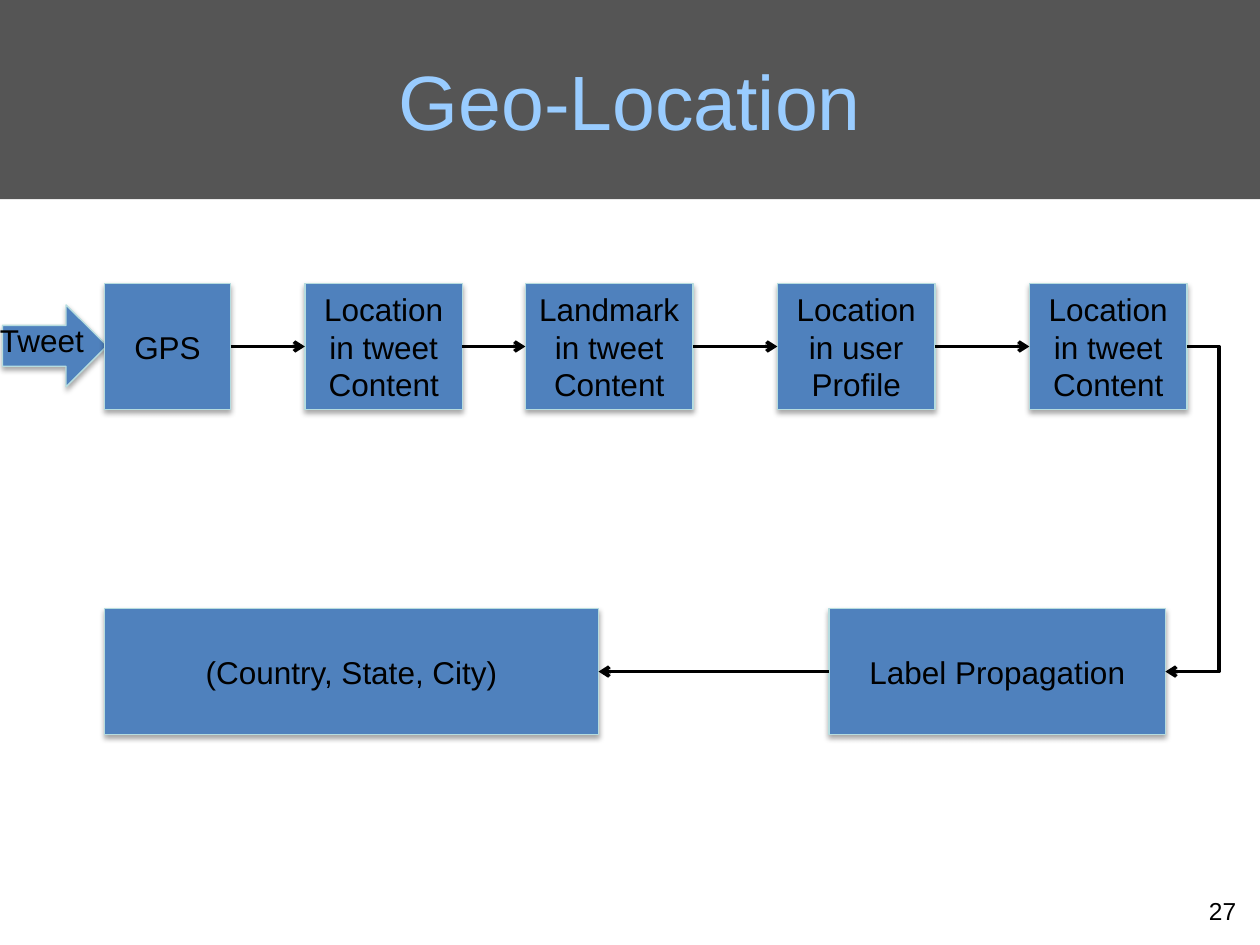
import pptx
import pptx.util
import pptx.dml.color
import pptx.enum.shapes
import pptx.enum.text
import pptx.oxml
import pptx.oxml.ns
import lxml.etree

Inches = pptx.util.Inches
Pt = pptx.util.Pt
RGB = pptx.dml.color.RGBColor.from_string
kinds = pptx.enum.shapes.MSO_SHAPE
links = pptx.enum.shapes.MSO_CONNECTOR
aligns = pptx.enum.text.PP_ALIGN
middle = pptx.enum.text.MSO_ANCHOR.MIDDLE
qn = pptx.oxml.ns.qn

colors = {
    "band": "555555",
    "title": "99CCFF",
    "box": "4F81BD",
    "edge": "B6DCDF",
    "ink": "000000",
}


def write(shape, text, size, color, align):
    frame = shape.text_frame
    frame.word_wrap = True
    para = frame.paragraphs[0]
    para.alignment = align
    run = para.add_run()
    run.text = text
    run.font.size = Pt(size)
    run.font.name = "Arial"
    run.font.color.rgb = RGB(colors[color])


def block(kind, left, top, width, height):
    shape = shapes.add_shape(kind, Inches(left), Inches(top), Inches(width), Inches(height))
    shape.fill.solid()
    shape.fill.fore_color.rgb = RGB(colors["box"])
    shape.line.color.rgb = RGB(colors["edge"])
    shape.line.width = Pt(0.75)
    shape.shadow.inherit = False
    effects = shape._element.spPr.find(qn("a:effectLst"))
    shadow = lxml.etree.SubElement(effects, qn("a:outerShdw"), blurRad="40000",
                                   dist="23000", dir="5400000", rotWithShape="0")
    tint = lxml.etree.SubElement(shadow, qn("a:srgbClr"), val=colors["ink"])
    lxml.etree.SubElement(tint, qn("a:alpha"), val="35000")
    return shape


deck = pptx.Presentation()
deck.slide_width = Inches(10)
deck.slide_height = Inches(7.5)
slide = deck.slides.add_slide(deck.slide_layouts[5])
shapes = slide.shapes

band = shapes.add_shape(kinds.RECTANGLE, 0, 0, Inches(10), Inches(1.58))
band.fill.solid()
band.fill.fore_color.rgb = RGB(colors["band"])
band.line.fill.background()
band.shadow.inherit = False
shapes._spTree.insert(2, band._element)

title = shapes.title
title.left, title.top = Inches(0.5), Inches(0.17)
title.width, title.height = Inches(9), Inches(1.25)
title.text_frame.vertical_anchor = middle
write(title, "Geo-Location", 44, "title", aligns.CENTER)

number = shapes.add_textbox(Inches(7.58), Inches(7.06), Inches(2.33), Inches(0.52))
write(number, "27", 14, "ink", aligns.RIGHT)

block(kinds.RIGHT_ARROW, 0.02, 2.42, 0.83, 0.65)
tweet = shapes.add_textbox(Inches(-0.17), Inches(2.5), Inches(1.07), Inches(0.4))
tweet.text_frame.margin_left = Inches(0.17)
write(tweet, "Tweet", 18, "ink", aligns.LEFT)

steps = [
    ("GPS", 0.83, 2.25, 1),
    ("Location in tweet Content", 2.42, 2.25, 1.25),
    ("Landmark in tweet Content", 4.17, 2.25, 1.33),
    ("Location in user Profile", 6.17, 2.25, 1.25),
    ("Location in tweet Content", 8.17, 2.25, 1.25),
    ("Label Propagation", 6.58, 4.83, 2.67),
    ("(Country, State, City)", 0.83, 4.83, 3.92),
]
boxes = []
for text, left, top, width in steps:
    box = block(kinds.RECTANGLE, left, top, width, 1)
    box.text_frame.vertical_anchor = middle
    write(box, text, 18, "ink", aligns.CENTER)
    boxes.append(box)

routes = [(links.STRAIGHT, 3, 1)] * 4 + [(links.ELBOW, 3, 3), (links.STRAIGHT, 1, 3)]
for start, end, (kind, out, into) in zip(boxes, boxes[1:], routes):
    link = shapes.add_connector(kind, 0, 0, 0, 0)
    link.begin_connect(start, out)
    link.end_connect(end, into)
    link.line.color.rgb = RGB(colors["ink"])
    link.line.width = Pt(2)
    props = link._element.spPr
    lxml.etree.SubElement(props.find(qn("a:ln")), qn("a:tailEnd"), type="arrow")
    lxml.etree.SubElement(props, qn("a:effectLst"))
    if kind == links.ELBOW:
        guides = props.find(qn("a:prstGeom")).get_or_add_avLst()
        lxml.etree.SubElement(guides, qn("a:gd"), name="adj1", fmla="val -150000")

deck.save("out.pptx")
